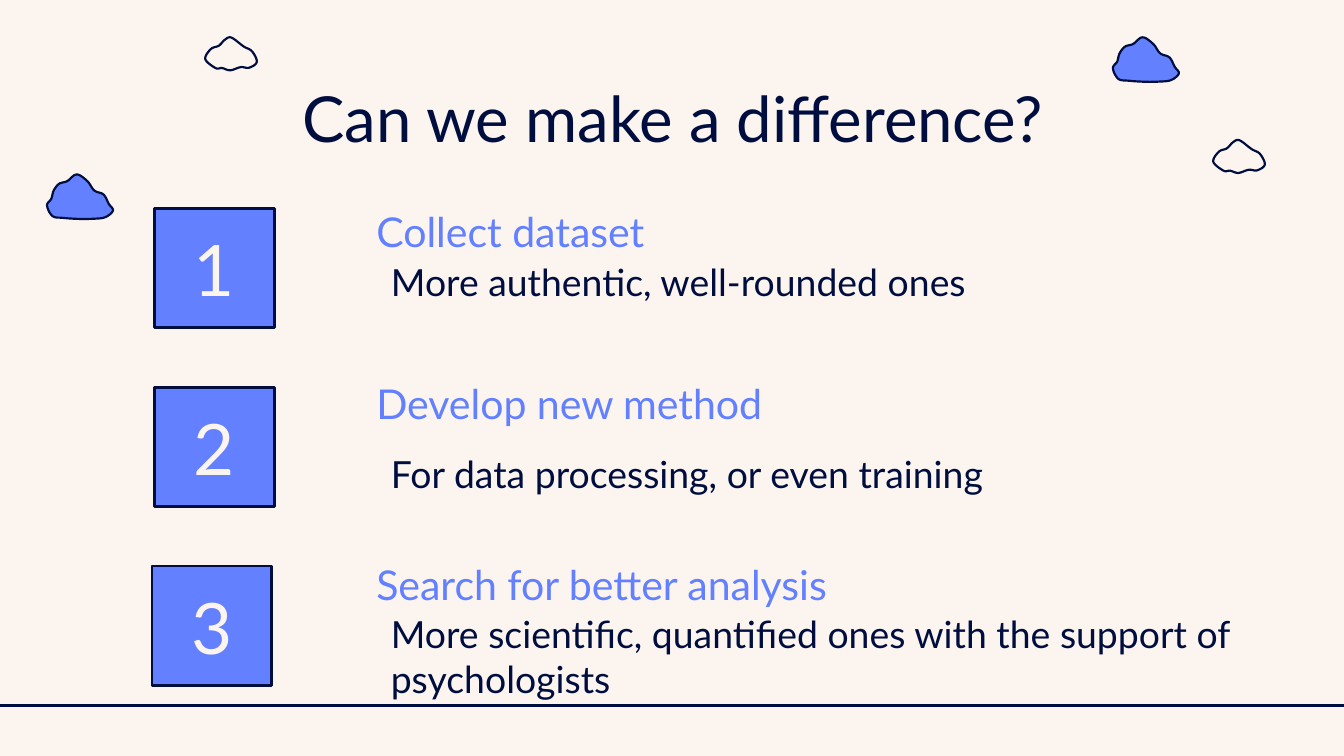
from lxml.etree import SubElement
from pptx import Presentation
from pptx.dml.color import RGBColor
from pptx.enum.shapes import MSO_CONNECTOR, MSO_SHAPE
from pptx.enum.text import MSO_ANCHOR, MSO_AUTO_SIZE, PP_ALIGN
from pptx.oxml.ns import qn
from pptx.util import Pt

NAVY, BLUE, CREAM = "000E3F", "6280FF", "FBF4EF"


def color(value):
    return RGBColor.from_string(value)


def write(box, text, size, ink, align, anchor, inset=7.2):
    frame = box.text_frame
    frame.text = text
    frame_format = {
        "word_wrap": True, "auto_size": MSO_AUTO_SIZE.NONE, "vertical_anchor": anchor,
        "margin_left": Pt(7.2), "margin_right": Pt(7.2),
        "margin_top": Pt(inset), "margin_bottom": Pt(inset),
    }
    for name, value in frame_format.items():
        setattr(frame, name, value)
    para = frame.paragraphs[0]
    para.alignment = align
    para.space_before = Pt(0)
    span = para.runs[0]
    for name, value in {"name": "Lato", "size": Pt(size), "bold": False}.items():
        setattr(span.font, name, value)
    span.font.color.rgb = color(ink)
    return para


deck = Presentation()
deck.slide_width, deck.slide_height = Pt(720), Pt(405)
page = deck.slides.add_slide(deck.slide_layouts[4])
page.background.fill.solid()
page.background.fill.fore_color.rgb = color(CREAM)

# Ground line
ground = page.shapes.add_connector(MSO_CONNECTOR.STRAIGHT, 0, Pt(378), Pt(720), Pt(378))
ground.line.color.rgb = color(NAVY)
ground.line.width = Pt(1.5)
SubElement(ground._element.spPr, qn("a:effectLst"))

# Clouds: smooth closed curves through a few outline points
puffy = [(15, 0.7), (21.5, 5.4), (26, 8), (28.6, 13.7), (24.5, 16.8), (20, 16.5),
         (14.4, 18.2), (10, 17), (6.5, 17), (1, 12.2), (4, 6.8), (8.3, 5), (11.5, 1.8)]
heaped = [(16.6, 0), (22.3, 3.6), (26, 8.6), (31, 10.8), (33.8, 15.8), (36, 19.4),
          (31.7, 23), (24.5, 23.8), (16.6, 23.8), (9.4, 23.3), (3.6, 22.3), (0.7, 16.6),
          (3, 13), (4.3, 8.6), (7.2, 5), (11.5, 3.6)]
clouds = [(puffy, 109, 19.5, None), (heaped, 595.5, 20, BLUE),
          (heaped, 24.5, 93.5, BLUE), (puffy, 649, 74.5, None)]
steps = 8
for outline, left, top, fill in clouds:
    curve = []
    for i in range(len(outline)):
        knots = [outline[(i + k) % len(outline)] for k in (-1, 0, 1, 2)]
        for t in (step / steps for step in range(steps)):
            curve.append([
                b + 0.5 * t * (c - a + t * (2 * a - 5 * b + 4 * c - d + t * (3 * (b - c) + d - a)))
                for a, b, c, d in zip(*knots)
            ])
    vertices = [(Pt(left + x), Pt(top + y)) for x, y in curve]
    builder = page.shapes.build_freeform(*vertices[0])
    builder.add_line_segments(vertices[1:], close=True)
    cloud = builder.convert_to_shape()
    cloud.shadow.inherit = False
    cloud.line.color.rgb = color(NAVY)
    cloud.line.width = Pt(1.15)
    if fill:
        cloud.fill.solid()
        cloud.fill.fore_color.rgb = color(fill)
    else:
        cloud.fill.background()

# Title
title = page.shapes.title
title.left, title.top, title.width, title.height = Pt(56.9), Pt(35.3), Pt(607), Pt(45.4)
write(title, "Can we make a difference?", 34, NAVY, PP_ALIGN.CENTER, MSO_ANCHOR.TOP)

# Numbered steps: square, heading, description
items = [
    ("Collect dataset", 115.2, "More authentic, well-rounded ones", 135.4, 82.8),
    ("Develop new method", 207.4, "For data processing, or even training", 238.3, 82.8),
    ("Search for better analysis", 304.6,
     "More scientific, quantified ones with the support of psychologists", 324, 81.4),
]
for number, (heading, heading_top, detail, detail_top, square_left) in enumerate(items, 1):
    square = page.shapes.add_shape(MSO_SHAPE.RECTANGLE, Pt(square_left),
                                   Pt(111.6 + 95.8 * (number - 1)), Pt(64.1), Pt(64.1))
    square.shadow.inherit = False
    square.fill.solid()
    square.fill.fore_color.rgb = color(BLUE)
    square.line.color.rgb = color(NAVY)
    square.line.width = Pt(1.5)
    write(square, str(number), 38, CREAM, PP_ALIGN.CENTER, MSO_ANCHOR.MIDDLE)

    body = page.placeholders[number]
    body.left, body.top, body.width, body.height = Pt(183.6), Pt(heading_top), Pt(510), Pt(28.8)
    para = write(body, heading, 22, BLUE, PP_ALIGN.LEFT, MSO_ANCHOR.BOTTOM)
    properties = para._p.get_or_add_pPr()
    properties.set("marL", str(Pt(36)))
    properties.set("indent", str(Pt(-25.2)))
    SubElement(properties, qn("a:buNone"))

    box = page.shapes.add_textbox(Pt(202.3), Pt(detail_top), Pt(532.8 if number == 3 else 370),
                                  Pt(55.4 if number == 3 else 31.7))
    write(box, detail, 20, NAVY, PP_ALIGN.LEFT, MSO_ANCHOR.TOP, 3.6)

# Unused placeholder
spare = page.placeholders[4]._element
spare.getparent().remove(spare)

deck.save("out.pptx")
